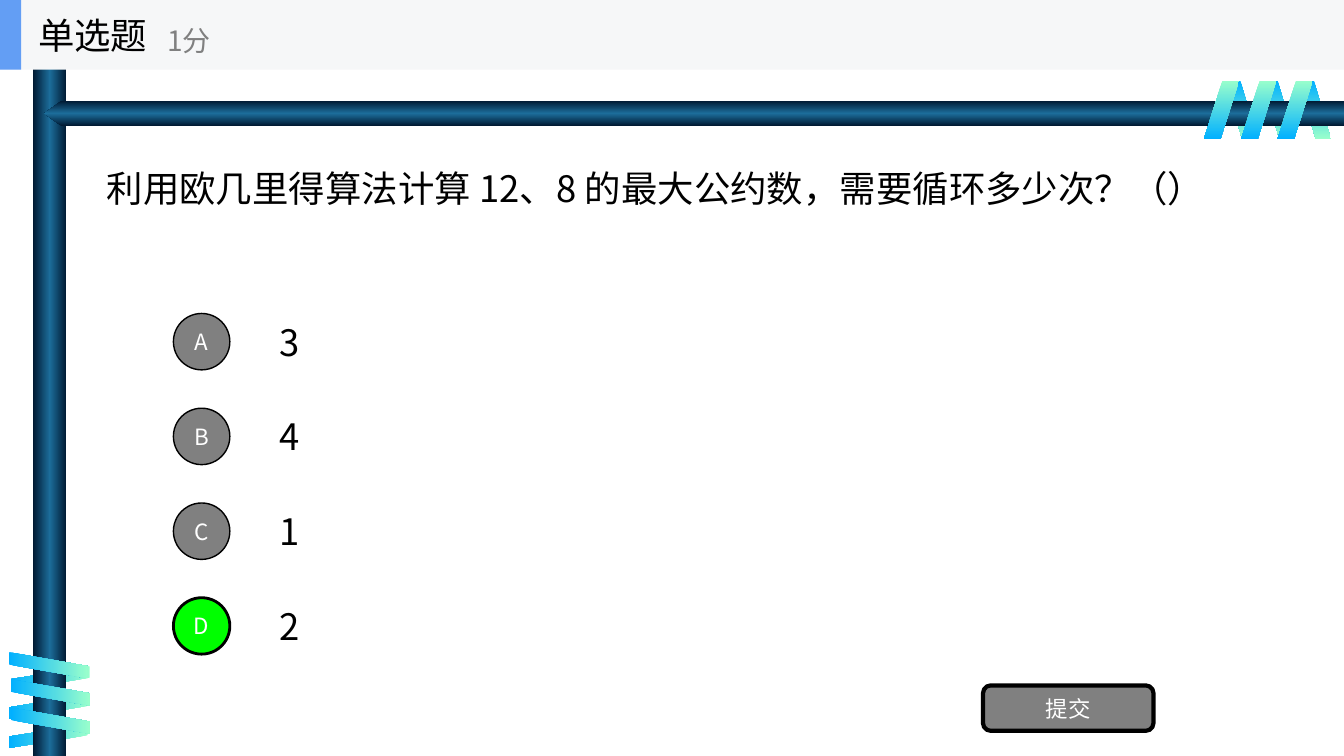
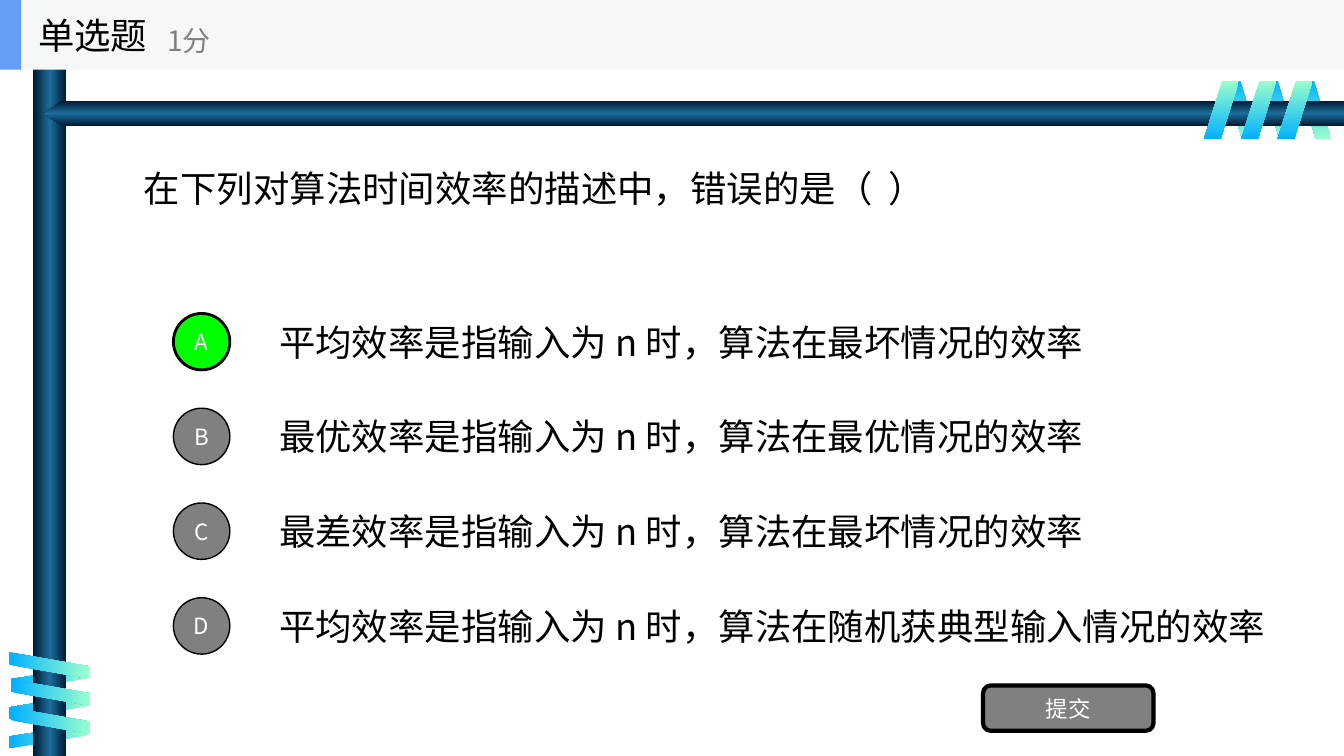
from dataclasses import dataclass

from lxml.etree import SubElement
from pptx import Presentation
from pptx.dml.color import RGBColor
from pptx.enum.shapes import MSO_SHAPE as Shape
from pptx.enum.text import MSO_ANCHOR as Anchor, PP_ALIGN as Align
from pptx.oxml.ns import qn
from pptx.shapes.autoshape import Shape as AutoShape
from pptx.slide import Slide
from pptx.util import Inches, Pt

FONT = "Noto Sans CJK SC"
BLACK, WHITE, GRAY, GREEN = "000000", "FFFFFF", "808080", "00FF00"
HEADER, ACCENT = "F6F7F8", "639EF4"
MINT, SKY = "99FFCC", "01B0FF"
PIPE = ("001932", "1C6D9A", "001932")

SLIDE_W, SLIDE_H = 13.33, 7.5
HEADER_H = 0.69
OPTION_TOP, OPTION_PITCH, OPTION_H = 3.04, 0.94, 0.7
BADGE = 0.56


@dataclass(frozen=True)
class Box:
    left: float
    top: float
    width: float
    height: float

    def lengths(self) -> list[Inches]:
        return [Inches(v) for v in (self.left, self.top, self.width, self.height)]


@dataclass(frozen=True)
class Ribbon:
    """Parallel bands of one coil, all of one size and gradient."""
    corners: tuple[tuple[float, float], ...]
    width: float
    height: float
    colors: tuple[str, ...]
    angle: int
    rotation: int = 0
    flip: bool = False


@dataclass(frozen=True)
class Question:
    text: str
    left: float
    width: float
    options: tuple[str, ...]
    answer: str
    option_width: float = 9.33


BACK_RIBBONS = (
    Ribbon(((12.88, 0.8), (12.52, 0.8), (12.15, 0.8)), 0.32, 0.58,
           (SKY, MINT), 90, 180, True),
    Ribbon(((0.38, 6.34), (0.36, 6.62), (0.36, 6.91)), 0.24, 0.78,
           (MINT, SKY), 0, 90, True),
)
FRONT_RIBBONS = (
    Ribbon(((0.35, 6.21), (0.37, 6.48), (0.37, 6.76)), 0.26, 0.78,
           (SKY, MINT), 0, 270),
    Ribbon(((12.67, 0.8), (12.31, 0.8), (11.94, 0.8)), 0.35, 0.58,
           (MINT, SKY), 90),
)

QUESTIONS = (
    Question("利用欧几里得算法计算 12、8 的最大公约数，需要循环多少次？（）",
             0.96, 11.73, ("3", "4", "1", "2"), "D"),
    Question("在下列对算法时间效率的描述中，错误的是（  ）", 1.33, 10.67,
             ("平均效率是指输入为 n 时，算法在最坏情况的效率",
              "最优效率是指输入为 n 时，算法在最优情况的效率",
              "最差效率是指输入为 n 时，算法在最坏情况的效率",
              "平均效率是指输入为 n 时，算法在随机获典型输入情况的效率"),
             "A", 10.42),
)


def rgb(color: str) -> RGBColor:
    return RGBColor.from_string(color)


def add_shape(s: Slide, kind: Shape, box: Box, fill: str | None = None,
              line: float = 0) -> AutoShape:
    sp = s.shapes.add_shape(kind, *box.lengths())
    sp.shadow.inherit = False
    if fill:
        sp.fill.solid()
        sp.fill.fore_color.rgb = rgb(fill)
    if line:
        sp.line.color.rgb = rgb(BLACK)
        sp.line.width = Pt(line)
    else:
        sp.line.fill.background()
    return sp


def set_gradient(sp: AutoShape, colors: tuple[str, ...], angle: int) -> None:
    """Spread the colours evenly, at a clockwise angle fixed to the slide."""
    sp.fill.gradient()
    sp.fill.gradient_angle = -angle % 360
    grad = sp.element.spPr.find(qn("a:gradFill"))
    grad.set("rotWithShape", "0")
    stops = grad.find(qn("a:gsLst"))
    for stop in list(stops):
        stops.remove(stop)
    for i, color in enumerate(colors):
        stop = SubElement(stops, qn("a:gs"), pos=str(100000 * i // (len(colors) - 1)))
        SubElement(stop, qn("a:srgbClr"), val=color)


def flip_horizontally(sp: AutoShape) -> None:
    sp.element.spPr.find(qn("a:xfrm")).set("flipH", "1")


def write(sp: AutoShape, text: str, size: int, color: str,
          align: Align = Align.LEFT) -> None:
    tf = sp.text_frame
    tf.word_wrap = True
    tf.vertical_anchor = Anchor.MIDDLE
    p = tf.paragraphs[0]
    p.text = text
    p.alignment = align
    p.font.size = Pt(size)
    p.font.color.rgb = rgb(color)
    p.font.name = FONT
    for props in sp.element.iter(qn("a:defRPr")):
        SubElement(props, qn("a:ea"), typeface=FONT)


def add_text(s: Slide, box: Box, text: str, size: int = 26,
             color: str = BLACK) -> None:
    write(s.shapes.add_textbox(*box.lengths()), text, size, color)


def add_button(s: Slide, kind: Shape, box: Box, text: str, fill: str,
               line: float) -> None:
    sp = add_shape(s, kind, box, fill, line)
    tf = sp.text_frame
    tf.margin_left = tf.margin_right = tf.margin_top = tf.margin_bottom = 0
    write(sp, text, 16, WHITE, Align.CENTER)


def add_ribbon(s: Slide, ribbon: Ribbon) -> None:
    for left, top in ribbon.corners:
        sp = add_shape(s, Shape.PARALLELOGRAM,
                       Box(left, top, ribbon.width, ribbon.height))
        sp.adjustments[0] = 0.53
        sp.rotation = ribbon.rotation
        if ribbon.flip:
            flip_horizontally(sp)
        set_gradient(sp, ribbon.colors, ribbon.angle)


def add_frame(s: Slide) -> None:
    """Draw the two pipes with the ribbons coiled around them."""
    for ribbon in BACK_RIBBONS:
        add_ribbon(s, ribbon)
    upright = add_shape(s, Shape.RECTANGLE, Box(0.33, 0, 0.33, SLIDE_H))
    set_gradient(upright, PIPE, 0)
    crossbar = add_shape(s, Shape.PENTAGON, Box(0.44, 1, 12.89, 0.25))
    crossbar.adjustments[0] = 0.68
    flip_horizontally(crossbar)
    set_gradient(crossbar, PIPE, 90)
    for ribbon in FRONT_RIBBONS:
        add_ribbon(s, ribbon)


def add_header(s: Slide) -> None:
    add_shape(s, Shape.RECTANGLE, Box(0, 0, SLIDE_W, HEADER_H), HEADER)
    add_shape(s, Shape.RECTANGLE, Box(0, 0, 0.21, HEADER_H), ACCENT)
    add_text(s, Box(0.28, 0, 2.08, HEADER_H), "单选题")
    add_text(s, Box(1.56, 0.12, 2.5, 0.56), "1分", 20, GRAY)


def add_options(s: Slide, question: Question) -> None:
    for i, (letter, text) in enumerate(zip("ABCD", question.options)):
        top = OPTION_TOP + i * OPTION_PITCH
        add_text(s, Box(2.67, top, question.option_width, OPTION_H), text)
        fill, line = (GREEN, 2) if letter == question.answer else (GRAY, 1)
        badge = Box(1.72, top + (OPTION_H - BADGE) / 2, BADGE, BADGE)
        add_button(s, Shape.OVAL, badge, letter, fill, line)


def add_question_slide(prs: Presentation, question: Question) -> None:
    s = prs.slides.add_slide(prs.slide_layouts[6])
    add_frame(s)
    add_text(s, Box(question.left, HEADER_H, question.width, 2.34), question.text)
    add_options(s, question)
    add_button(s, Shape.ROUNDED_RECTANGLE, Box(9.75, 6.8, 1.69, 0.45), "提交", GRAY, 3)
    add_header(s)


def main() -> None:
    prs = Presentation()
    prs.slide_width, prs.slide_height = Inches(SLIDE_W), Inches(SLIDE_H)
    for question in QUESTIONS:
        add_question_slide(prs, question)
    prs.save("out.pptx")


if __name__ == "__main__":
    main()
